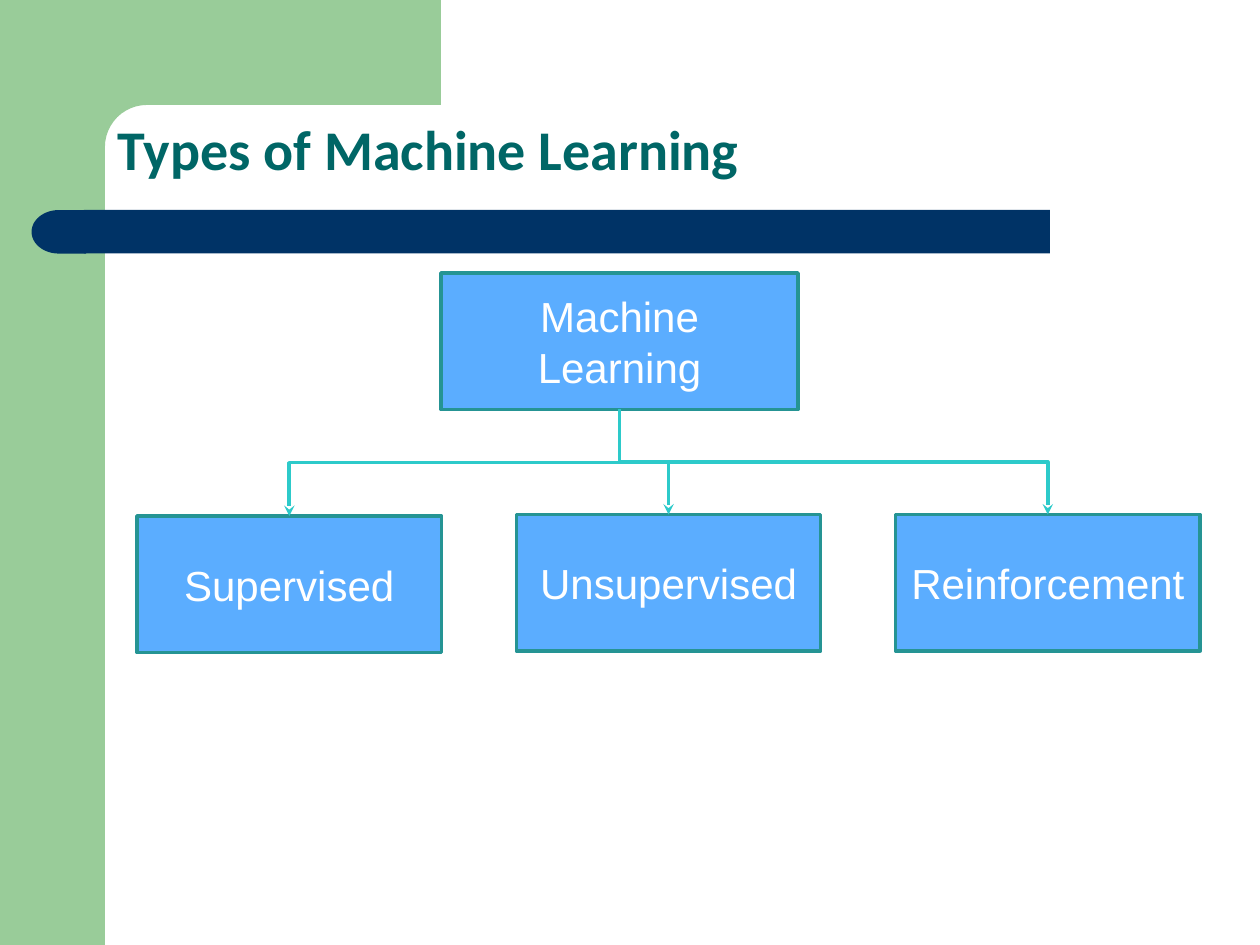
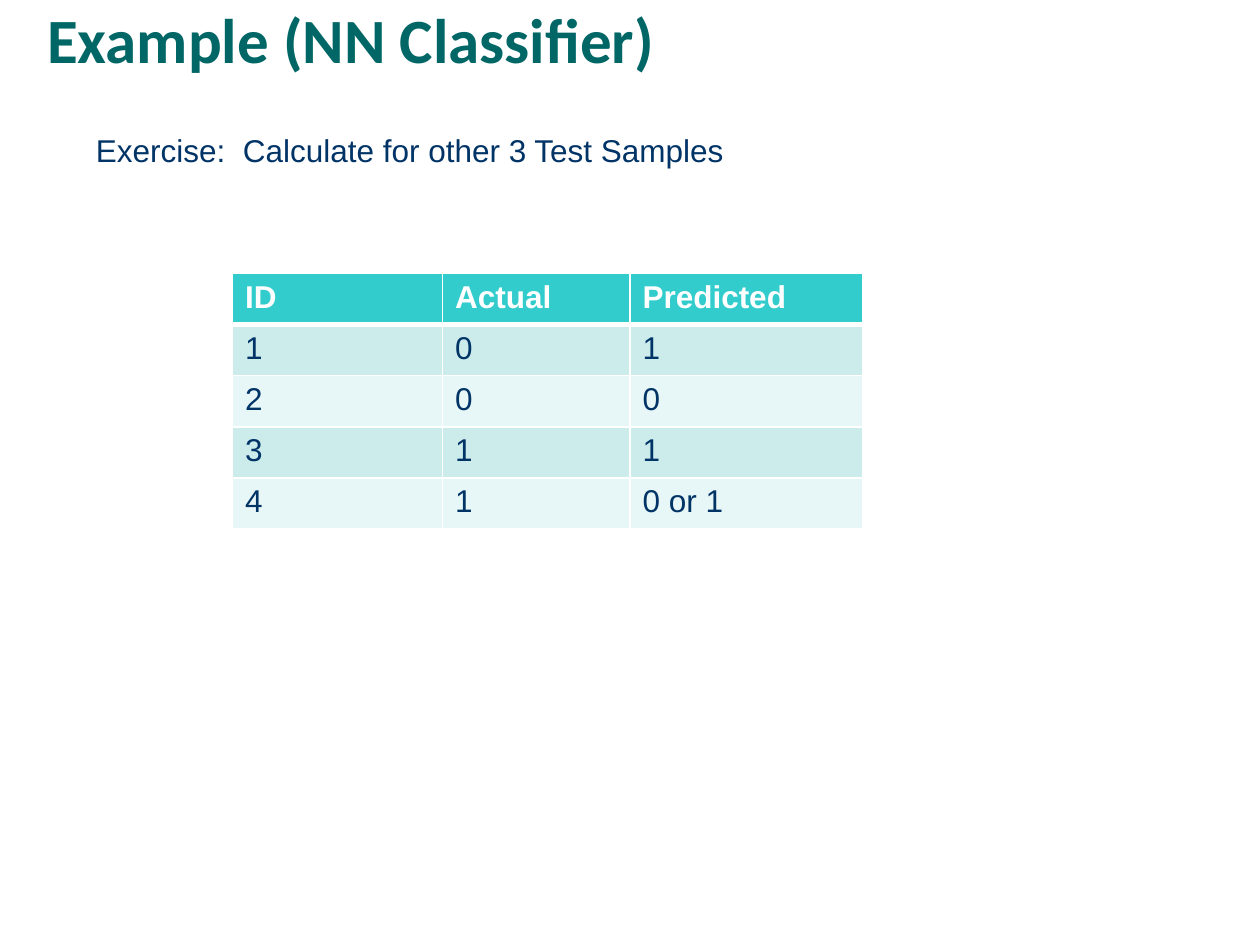
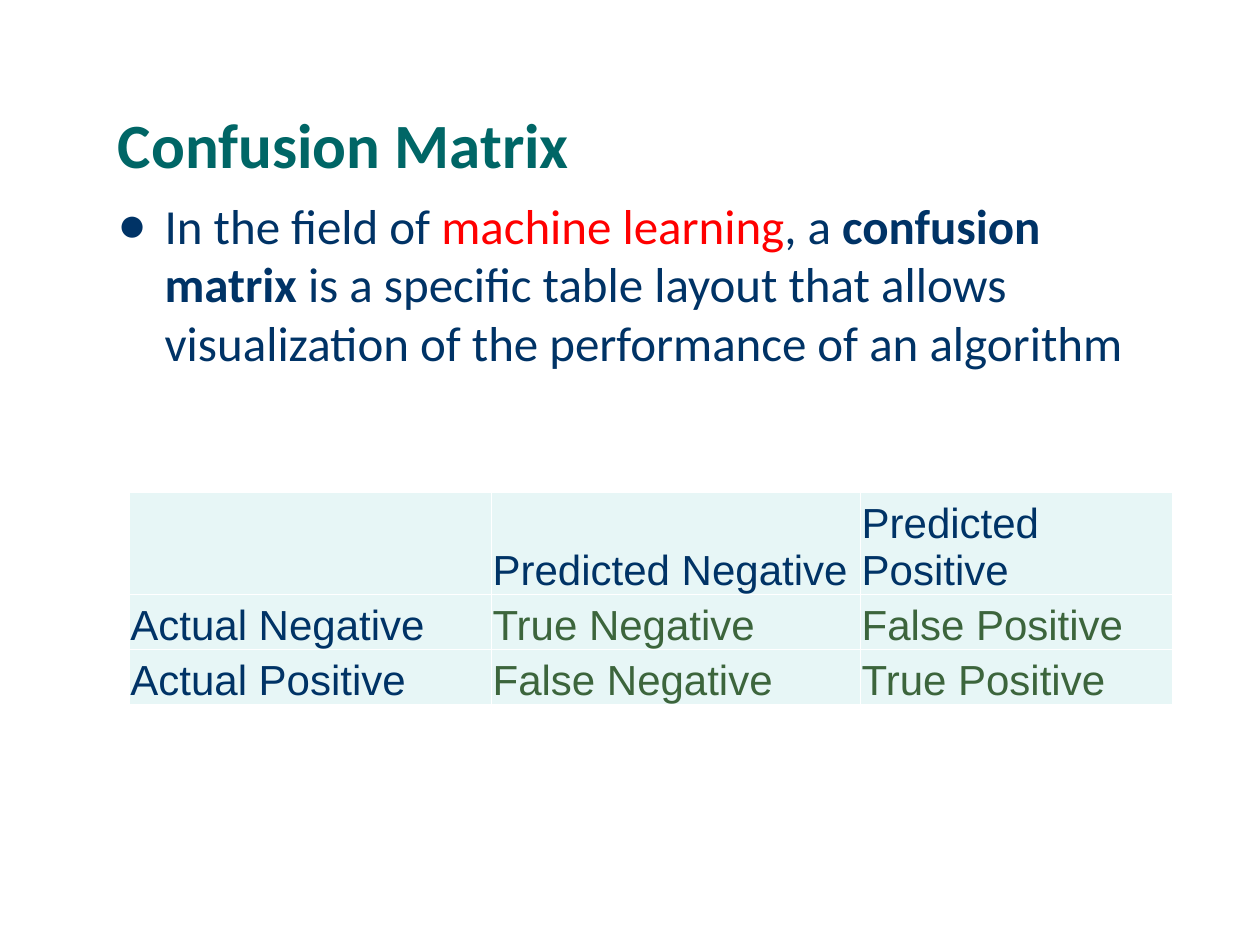
import math
from pptx import Presentation
from pptx import util as u
from pptx.dml.color import RGBColor
from pptx.enum import shapes, text
from pptx.oxml import ns, xmlchemy

COLUMNS, ROWS = 120, 90
UNIT = u.Inches(10) // COLUMNS
COLORS = {
    "leaf": "99CC99", "navy": "003366", "title": "006666", "white": "FFFFFF",
    "node": "5BADFF", "node_edge": "259494", "branch": "2DCACA", "red": "FF0000",
    "header": "33CCCC", "band": "CCECEC", "pale": "E7F6F6", "moss": "3C653C",
}
FORMATS = {
    "title": {"name": "Calibri", "size": u.Pt(36), "bold": True},
    "small_title": {"name": "Calibri", "size": u.Pt(32), "bold": True},
    "body": {"name": "Calibri", "size": u.Pt(28), "bold": False},
    "strong": {"name": "Calibri", "size": u.Pt(28), "bold": True},
    "node": {"name": "Arial", "size": u.Pt(24), "bold": False},
    "note": {"name": "Arial", "size": u.Pt(18), "bold": False},
    "header": {"name": "Arial", "size": u.Pt(18), "bold": True},
}
TITLE_FRAME = {
    "word_wrap": True, "vertical_anchor": text.MSO_ANCHOR.BOTTOM,
    "margin_left": u.Inches(0.06), "margin_right": u.Inches(0.06),
    "margin_top": u.Inches(0.01), "margin_bottom": u.Inches(0.01),
}
TIGHT_CELL = {
    "vertical_anchor": text.MSO_ANCHOR.BOTTOM,
    "margin_left": u.Inches(0.01), "margin_right": u.Inches(0.01),
    "margin_top": u.Inches(0.01), "margin_bottom": 0,
}
TITLE_BOX = (10, 10, 104, 8)


def grid(*lengths):
    return [u.Emu(round(length * UNIT)) for length in lengths]


def color(name):
    return RGBColor.from_string(COLORS[name])


def assign(target, values):
    for attribute, value in values.items():
        setattr(target, attribute, value)


def write(paragraph, wording, style, ink):
    run = paragraph.add_run()
    run.text = wording
    assign(run.font, FORMATS[style])
    run.font.color.rgb = color(ink)


def add_child(parent, tag, **attributes):
    child = xmlchemy.OxmlElement(tag)
    for key, value in attributes.items():
        child.set(key, str(value))
    parent.append(child)
    return child


def paint(shape, fill=None, edge=None):
    shape.shadow.inherit = False
    if fill:
        shape.fill.solid()
        shape.fill.fore_color.rgb = color(fill)
    else:
        shape.fill.background()
    if edge:
        shape.line.color.rgb = color(edge)
        shape.line.width = u.Pt(2)
    else:
        shape.line.fill.background()


def draw_block(slide, kind, box, fill=None, edge=None):
    block = slide.shapes.add_shape(kind, *grid(*box))
    paint(block, fill, edge)
    return block


def draw_text_area(slide, box):
    frame = slide.shapes.add_textbox(*grid(*box)).text_frame
    frame.word_wrap = True
    return frame.paragraphs[0]


def draw_title(slide, wording, box=TITLE_BOX, style="title"):
    heading = draw_block(slide, shapes.MSO_SHAPE.ROUNDED_RECTANGLE, box)
    heading.adjustments[0] = 0.22
    assign(heading.text_frame, TITLE_FRAME)
    paragraph = heading.text_frame.paragraphs[0]
    assign(paragraph, {"alignment": text.PP_ALIGN.LEFT, "line_spacing": 0.9})
    write(paragraph, wording, style, "title")


def draw_backdrop(slide, box):
    left, top, width, height = box
    sidebar, corner = width / 12, width / 30
    right = left + width * 0.35
    inner = left + sidebar
    draw_block(slide, shapes.MSO_SHAPE.RECTANGLE, (left, top, sidebar, height), "leaf")
    arc = []
    for step in range(13):
        angle = math.pi / 2 * step / 12
        arc.append((inner + corner * (1 - math.sin(angle)),
                    top + sidebar + corner * (1 - math.cos(angle))))
    start = left + sidebar * 0.6
    base = top + sidebar * 1.54
    outline = [(right, top), (right, top + sidebar), *arc, (inner, base), (start, base)]
    pen = slide.shapes.build_freeform(*grid(start, top))
    pen.add_line_segments([grid(*point) for point in outline], close=True)
    paint(pen.convert_to_shape(), "leaf")


def draw_bar(slide, box):
    left, top, width, height = box
    cap = 5
    draw_block(slide, shapes.MSO_SHAPE.RECTANGLE,
               (left + cap, top, width - cap, height), "navy")
    rounded_end = draw_block(slide, shapes.MSO_SHAPE.FLOWCHART_DELAY,
                             (left, top, cap + 0.2, height), "navy")
    rounded_end.rotation = 180


def draw_node(slide, wording, box):
    node = draw_block(slide, shapes.MSO_SHAPE.RECTANGLE, box, "node", "node_edge")
    node.text_frame.word_wrap = True
    node.text_frame.vertical_anchor = text.MSO_ANCHOR.MIDDLE
    paragraph = node.text_frame.paragraphs[0]
    paragraph.alignment = text.PP_ALIGN.CENTER
    write(paragraph, wording, "node", "white")
    return node


def draw_branch(slide, parent, child):
    start_x, start_y = parent.left + parent.width // 2, parent.top + parent.height
    end_x, end_y = child.left + child.width // 2, child.top
    branch = slide.shapes.add_connector(shapes.MSO_CONNECTOR.ELBOW,
                                        start_x, start_y, end_x, end_y)
    branch.begin_connect(parent, 2)
    branch.end_connect(child, 0)
    drop, run = end_y - start_y, abs(end_x - start_x)
    assign(branch, {
        "left": (start_x + end_x - drop) // 2, "top": (start_y + end_y - run) // 2,
        "width": drop, "height": run,
    })
    to_right = end_x > start_x
    properties = branch._element.spPr
    frame = properties.find(ns.qn("a:xfrm"))
    frame.set("rot", str((270 if to_right else 90) * 60000))
    frame.set("flipH", str(int(to_right)))
    branch.line.color.rgb = color("branch")
    branch.line.width = u.Pt(2)
    add_child(properties.find(ns.qn("a:ln")), "a:tailEnd", type="stealth")
    add_child(properties, "a:effectLst")


def draw_tree(slide, root, leaves, box):
    left, top, width, height = box
    node_width, node_height = 29, 13
    step = (width - node_width) / (len(leaves) - 1)
    parent = draw_node(slide, root, (left + 28.95, top, 34, node_height))
    for index, (leaf, drop) in enumerate(leaves):
        child = draw_node(slide, leaf, (left + index * step,
                                        top + height - node_height + drop,
                                        node_width, node_height))
        draw_branch(slide, parent, child)


def draw_table(slide, rows, origin, widths, heights, look, cell_format):
    size = (sum(widths), sum(heights))
    table = slide.shapes.add_table(len(rows), len(widths), *grid(*origin, *size)).table
    assign(table, {"first_row": False, "horz_banding": False})
    for column, width in zip(table.columns, grid(*widths)):
        column.width = width
    for row, height in zip(table.rows, grid(*heights)):
        row.height = height
    for r, wordings in enumerate(rows):
        for c, wording in enumerate(wordings):
            fill, style, ink, rule_above, rule_below = look(r, c)
            cell = table.cell(r, c)
            assign(cell, cell_format)
            weights = {"a:lnL": 1, "a:lnR": 1, "a:lnT": rule_above, "a:lnB": rule_below}
            for side, weight in weights.items():
                rule = add_child(cell._tc.get_or_add_tcPr(), side, w=u.Pt(weight))
                add_child(add_child(rule, "a:solidFill"), "a:srgbClr", val=COLORS["white"])
            cell.fill.solid()
            cell.fill.fore_color.rgb = color(fill)
            if wording:
                write(cell.text_frame.paragraphs[0], wording, style, ink)


def banded_look(row, column):
    if row == 0:
        return "header", "header", "white", 1, 3
    return ("band" if row % 2 else "pale"), "note", "navy", (3 if row == 1 else 1), 1


def matrix_look(row, column):
    return "pale", "node", ("moss" if row and column else "navy"), 1, 1


def draw_definition(slide, parts, box):
    paragraph = draw_text_area(slide, box)
    indent = grid(4.5)[0]
    properties = paragraph._p.get_or_add_pPr()
    properties.set("marL", str(indent))
    properties.set("indent", str(-indent))
    add_child(add_child(properties, "a:buClr"), "a:srgbClr", val=COLORS["navy"])
    add_child(properties, "a:buFont", typeface="Arial")
    add_child(properties, "a:buChar", char="●")
    for part in parts:
        write(paragraph, *part)


def build_types(slide):
    draw_backdrop(slide, (0, 0, COLUMNS, ROWS))
    draw_bar(slide, (3, 20, 97, 4.15))
    draw_title(slide, "Types of Machine Learning", style="small_title")
    leaves = [("Supervised", 0.15), ("Unsupervised", 0), ("Reinforcement", 0)]
    draw_tree(slide, "Machine Learning", leaves, (13.05, 26, 101.25, 36))


def build_example(slide):
    draw_title(slide, "Example (NN Classifier)", (3.25, 0, 104, 8))
    exercise = draw_text_area(slide, (7.95, 11.9, 104, 12.1))
    write(exercise, "Exercise:  Calculate for other 3 Test Samples", "note", "navy")
    results = [("ID", "Actual", "Predicted"), ("1", "0", "1"), ("2", "0", "0"),
               ("3", "1", "1"), ("4", "1", "0 or 1")]
    draw_table(slide, results, (22.15, 26.05), (20, 17.85, 22.2), [4.87] * 5,
               banded_look, {})


def build_matrix(slide):
    draw_title(slide, "Confusion Matrix")
    definition = [
        ("In the field of ", "body", "navy"),
        ("machine learning", "body", "red"),
        (", a ", "body", "navy"),
        ("confusion matrix", "strong", "navy"),
        (" is a specific table layout that allows visualization of the performance"
         " of an algorithm", "body", "navy"),
    ]
    draw_definition(slide, definition, (10, 18, 101, 18))
    outcomes = [("", "Predicted Negative", "Predicted Positive"),
                ("Actual Negative", "True Negative", "False Positive"),
                ("Actual Positive", "False Negative", "True Positive")]
    draw_table(slide, outcomes, (12.3, 46.9), (34.5, 35.15, 29.75), (9.05, 5.25, 5.25),
               matrix_look, TIGHT_CELL)


def main():
    deck = Presentation()
    assign(deck, {"slide_width": u.Inches(10), "slide_height": u.Inches(7.5)})
    for build in (build_types, build_example, build_matrix):
        build(deck.slides.add_slide(deck.slide_layouts[6]))
    deck.save("out.pptx")


if __name__ == "__main__":
    main()
